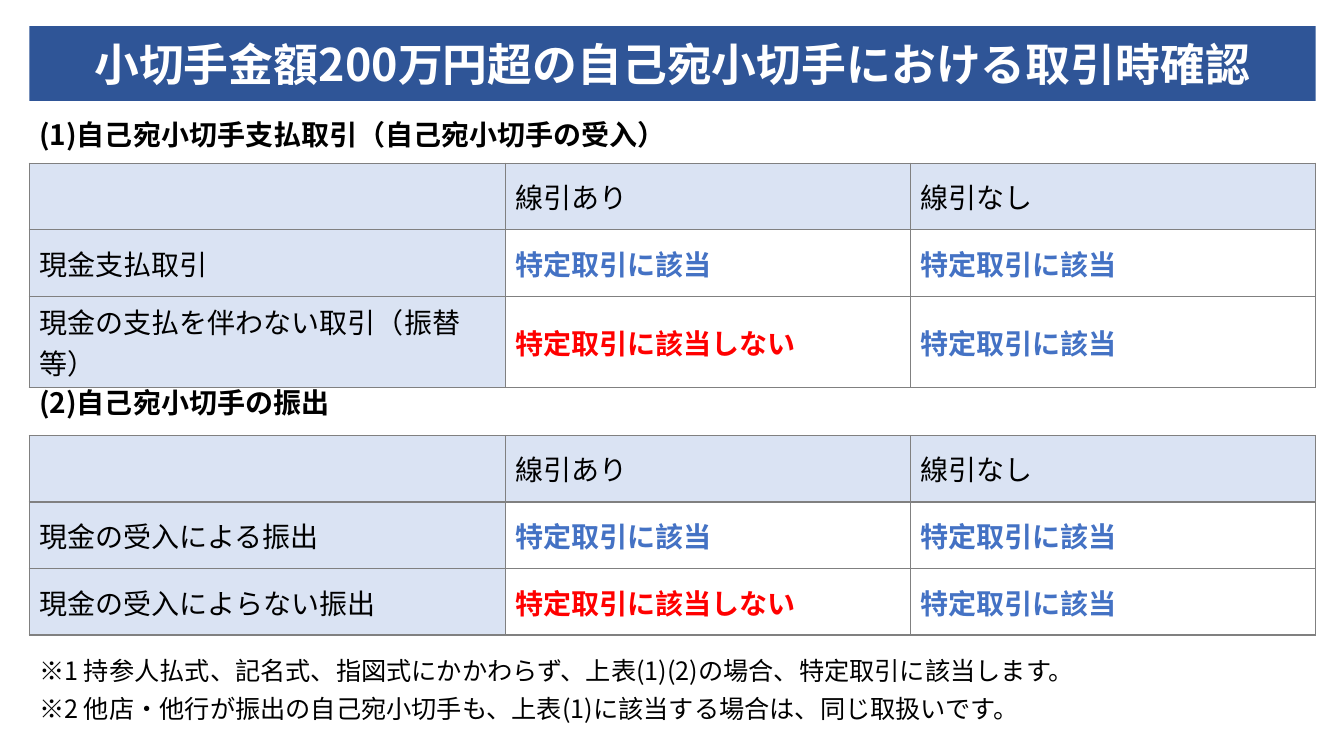
from dataclasses import dataclass

from lxml.etree import SubElement
from pptx import Presentation
from pptx.dml.color import RGBColor
from pptx.enum.text import MSO_ANCHOR, MSO_AUTO_SIZE, PP_ALIGN
from pptx.oxml import parse_xml
from pptx.oxml.ns import nsdecls, qn
from pptx.util import Inches, Pt


@dataclass(frozen=True)
class Theme:
    """Colours, font and type sizes of the slide."""
    font: str = "Noto Sans CJK JP"
    banner: str = "2F5597"
    label_fill: str = "DAE3F3"
    border: str = "808080"
    black: str = "000000"
    white: str = "FFFFFF"
    applies: str = "4472C4"
    exempt: str = "FF0000"
    title_size: int = 32
    body_size: int = 20
    note_size: int = 18


THEME = Theme()
LEFT, WIDTH = 0.29, 12.76
COLUMN_WIDTHS = (4.72, 4.02, 4.02)
ROW_HEIGHT = 0.66
APPLIES = "特定取引に該当"
EXEMPT = "特定取引に該当しない"
HEADER = ("", "線引あり", "線引なし")


def style_paragraph(para, size, color, bold=False):
    """Format every run of a paragraph, for Latin and Japanese text alike."""
    for span in para.runs:
        span.font.size = Pt(size)
        span.font.bold = bold
        span.font.color.rgb = RGBColor.from_string(color)
        span.font.name = THEME.font
        east_asian = SubElement(span.font._element, qn("a:ea"))
        east_asian.set("typeface", THEME.font)


def set_title(slide, text):
    """Turn the title placeholder into the banner."""
    title = slide.shapes.title
    title.left, title.top = Inches(LEFT), Inches(0.26)
    title.width, title.height = Inches(WIDTH), Inches(0.74)
    title.fill.solid()
    title.fill.fore_color.rgb = RGBColor.from_string(THEME.banner)
    frame = title.text_frame
    frame.text = text
    frame.auto_size = MSO_AUTO_SIZE.NONE
    frame.vertical_anchor = MSO_ANCHOR.MIDDLE
    para = frame.paragraphs[0]
    para.alignment = PP_ALIGN.CENTER
    style_paragraph(para, THEME.title_size, THEME.white, True)


def add_text(slide, lines, top, width, height, size, bold=False, space_after=0):
    """Add a text box with one paragraph per line."""
    box = slide.shapes.add_textbox(Inches(LEFT), Inches(top), Inches(width), Inches(height))
    frame = box.text_frame
    frame.word_wrap = True
    frame.text = "\n".join(lines)
    for para in frame.paragraphs:
        para.space_after = Pt(space_after)
        style_paragraph(para, size, THEME.black, bold)


def set_borders(cell):
    """Draw a thin line on all four sides of a cell."""
    properties = cell._tc.get_or_add_tcPr()
    for index, side in enumerate(("lnL", "lnR", "lnT", "lnB")):
        line = parse_xml(
            f'<a:{side} {nsdecls("a")} w="{Pt(1)}"><a:solidFill>'
            f'<a:srgbClr val="{THEME.border}"/></a:solidFill></a:{side}>')
        properties.insert(index, line)


def fill_cell(cell, text, is_label):
    """Write and format one table cell."""
    cell.vertical_anchor = MSO_ANCHOR.MIDDLE
    cell.fill.solid()
    fill = THEME.label_fill if is_label else THEME.white
    cell.fill.fore_color.rgb = RGBColor.from_string(fill)
    set_borders(cell)
    if text:
        cell.text_frame.text = text
        verdicts = {APPLIES: THEME.applies, EXEMPT: THEME.exempt}
        color = verdicts.get(text, THEME.black)
        style_paragraph(cell.text_frame.paragraphs[0], THEME.body_size, color, not is_label)


def add_verdict_table(slide, top, cash_label, other_label):
    """Add a table of verdicts for crossed and uncrossed cheques."""
    rows = (HEADER, (cash_label, APPLIES, APPLIES), (other_label, EXEMPT, APPLIES))
    frame = slide.shapes.add_table(
        len(rows), len(HEADER), Inches(LEFT), Inches(top),
        Inches(WIDTH), Inches(ROW_HEIGHT * len(rows)))
    table = frame.table
    table.first_row = table.horz_banding = False
    for column, width in zip(table.columns, COLUMN_WIDTHS):
        column.width = Inches(width)
    for row_index, row in enumerate(rows):
        table.rows[row_index].height = Inches(ROW_HEIGHT)
        for column_index, text in enumerate(row):
            is_label = row_index == 0 or column_index == 0
            fill_cell(table.cell(row_index, column_index), text, is_label)


def main():
    """Build the slide and save the deck."""
    deck = Presentation()
    deck.slide_width, deck.slide_height = Inches(13.33), Inches(7.5)
    page = deck.slides.add_slide(deck.slide_layouts[5])
    set_title(page, "小切手金額200万円超の自己宛小切手における取引時確認")
    sections = (
        (1.12, "(1)自己宛小切手支払取引（自己宛小切手の受入）", 1.62,
         "現金支払取引", "現金の支払を伴わない取引（振替等）"),
        (3.78, "(2)自己宛小切手の振出", 4.32,
         "現金の受入による振出", "現金の受入によらない振出"),
    )
    for heading_top, heading, table_top, cash_label, other_label in sections:
        add_verdict_table(page, table_top, cash_label, other_label)
        add_text(page, [heading], heading_top, 6.67, 0.44, THEME.body_size, bold=True)
    notes = (
        "※1 持参人払式、記名式、指図式にかかわらず、上表(1)(2)の場合、特定取引に該当します。",
        "※2 他店・他行が振出の自己宛小切手も、上表(1)に該当する場合は、同じ取扱いです。",
    )
    add_text(page, notes, 6.45, WIDTH, 0.79, THEME.note_size, space_after=6)
    deck.save("out.pptx")


if __name__ == "__main__":
    main()
